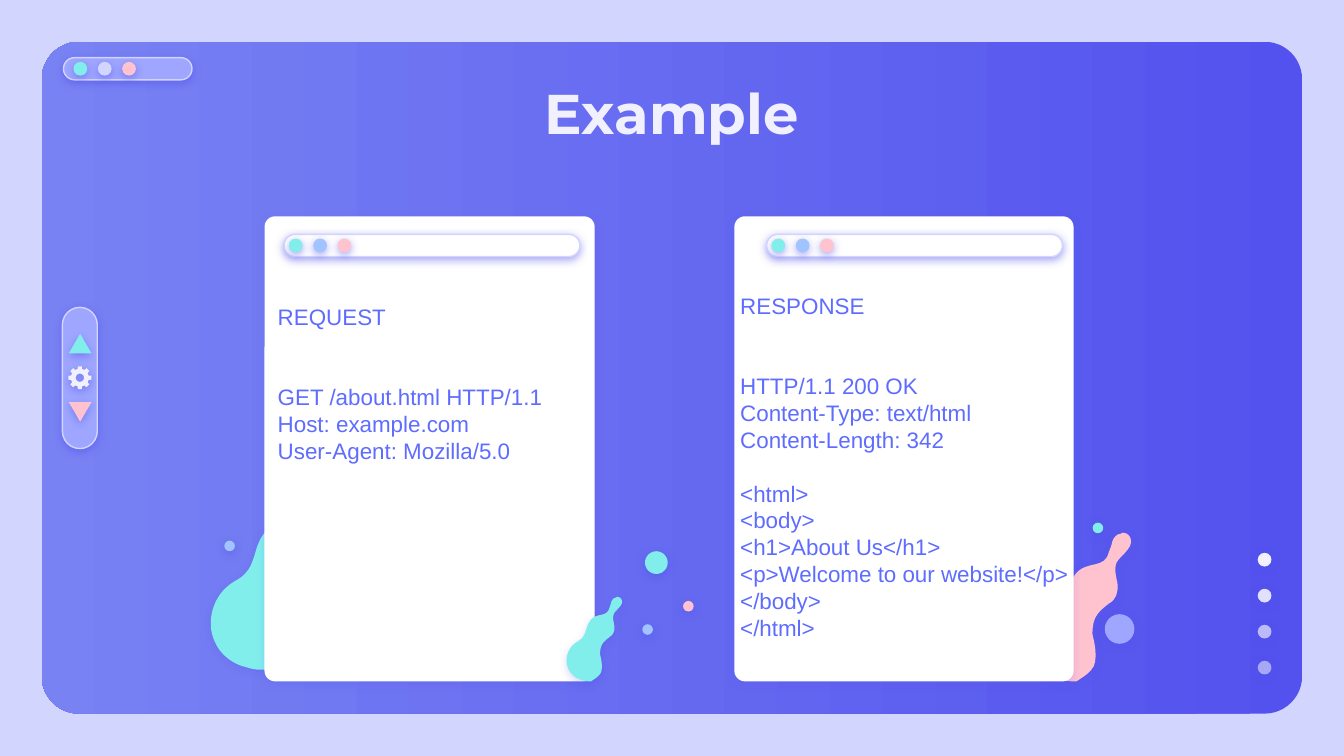
import math

from lxml import etree
from pptx import Presentation
from pptx.dml.color import RGBColor
from pptx.enum.shapes import MSO_SHAPE
from pptx.enum.text import MSO_ANCHOR, PP_ALIGN
from pptx.oxml.ns import qn
from pptx.util import Cm, Pt

ROUND, OVAL, TRIANGLE = (MSO_SHAPE.ROUNDED_RECTANGLE, MSO_SHAPE.OVAL,
                         MSO_SHAPE.ISOSCELES_TRIANGLE)
TOP, LEFT, CENTER = MSO_ANCHOR.TOP, PP_ALIGN.LEFT, PP_ALIGN.CENTER

INDIGO, VIOLET, LAVENDER, PALE = "5352EE", "7882F3", "9EA6FF", "D2D6FF"
TEAL, PINK, SKY, MIST, WHITE, INK = "81EEEB", "FFC3D0", "A1C3FF", "F1F0FF", "FFFFFF", "5E6CFF"

TITLE = "Example"
# Each message is a list of (space before in points, line)
REQUEST = [
    (0, "REQUEST"),
    (28.5, "GET /about.html HTTP/1.1"),
    (0, "Host: example.com"),
    (0, "User-Agent: Mozilla/5.0"),
]
RESPONSE = [
    (0, "RESPONSE"),
    (28.8, "HTTP/1.1 200 OK"),
    (0, "Content-Type: text/html"),
    (0, "Content-Length: 342"),
    (14, "<html>"),
    (0, "<body>"),
    (0, "<h1>About Us</h1>"),
    (0, "<p>Welcome to our website!</p>"),
    (0, "</body>"),
    (0, "</html>"),
]

# Lengths in cm
CARDS = [(5, 6.24), (13.88, 6.41)]  # left, width
CARD_TOP, CARD_HEIGHT, CARD_RADIUS = 4.09, 8.79, 0.2
MESSAGES = [(REQUEST, 5, 5.61, 7.47, 3.33), (RESPONSE, 13.74, 5.39, 8.23, 6.93)]
BAR_HEIGHT, DOT, DOT_STEP = 0.42, 0.26, 0.46
BUBBLES = [  # left, top, diameter, colour
    (4.24, 10.22, 0.2, SKY), (12.14, 11.8, 0.2, SKY), (12.19, 10.42, 0.43, TEAL),
    (12.91, 11.36, 0.2, PINK), (20.88, 11.61, 0.56, LAVENDER), (20.65, 9.88, 0.2, TEAL),
]

# Splash outline: start, then cubic curves (two controls and an end point)
SPLASH_HEIGHT, SPLASH_START = 141, (89, 0)
SPLASH_CURVES = [
    (91, 0, 93, 1, 94, 2), (103, 12, 87, 21, 83, 28), (80, 35, 83, 43, 84, 50),
    (84, 56, 83, 63, 76, 67), (72, 70, 68, 73, 65, 77), (61, 82, 60, 89, 60, 96),
    (61, 101, 63, 108, 63, 115), (63, 119, 63, 126, 59, 130),
    (55, 135, 49, 138, 45, 141), (44, 141, 42, 141, 41, 141),
    (37, 141, 33, 140, 30, 139), (21, 137, 11, 130, 7, 120),
    (0, 105, 6, 86, 19, 77), (23, 74, 27, 73, 30, 69), (36, 63, 37, 52, 40, 46),
    (49, 25, 67, 35, 74, 23), (76, 17, 78, 13, 79, 8), (80, 5, 83, 1, 87, 1),
    (88, 0, 89, 0, 89, 0),
]

prs = Presentation()
prs.slide_width, prs.slide_height = Cm(25.4), Cm(14.29)
layout = prs.slide_layouts[5]
slide = prs.slides.add_slide(layout)


def paint(fill, color, alpha=100):
    fill.solid()
    fill.fore_color.rgb = RGBColor.from_string(color)
    if alpha < 100:
        rgb = fill._xPr.find(".//" + qn("a:srgbClr"))
        etree.SubElement(rgb, qn("a:alpha"), val=str(alpha * 1000))


def finish(sp, color, alpha=100, line=None, shadow=50):
    """Set fill, outline and a soft drop shadow of the given opacity."""
    paint(sp.fill, color, alpha)
    if line:
        paint(sp.line.fill, line)
        sp.line.width = Pt(0.75)
    else:
        sp.line.fill.background()
    sp.shadow.inherit = False
    if shadow:
        effects = sp._element.spPr.find(qn("a:effectLst"))
        outer = etree.SubElement(effects, qn("a:outerShdw"), blurRad=str(Pt(4.5)),
                                 dist=str(Pt(1.5)), dir="5400000", algn="bl",
                                 rotWithShape="0")
        rgb = etree.SubElement(outer, qn("a:srgbClr"), val=INDIGO)
        etree.SubElement(rgb, qn("a:alpha"), val=str(shadow * 1000))
    return sp


def add_preset(kind, x, y, w, h, color, radius=None, **style):
    sp = slide.shapes.add_shape(kind, Cm(x), Cm(y), Cm(w), Cm(h))
    if radius is not None:
        sp.adjustments[0] = radius / min(w, h)
    return finish(sp, color, **style)


def add_outline(contours, color, shadow):
    scaled = [[(Cm(x), Cm(y)) for x, y in contour] for contour in contours]
    builder = slide.shapes.build_freeform(*scaled[0][0])
    for i, contour in enumerate(scaled):
        if i:
            builder.move_to(*contour[0])
        builder.add_line_segments(contour[1:], close=True)
    return finish(builder.convert_to_shape(), color, shadow=shadow)


def add_splash(x, y, height, color):
    """Lay out the control points as lines, then join every three into a curve."""
    scale = height / SPLASH_HEIGHT
    points = [SPLASH_START] + [c[i:i + 2] for c in SPLASH_CURVES for i in (0, 2, 4)]
    sp = add_outline([[(x + px * scale, y + py * scale) for px, py in points]], color, 22)
    lines = list(sp._element.iter(qn("a:lnTo")))
    for i in range(0, len(lines), 3):
        curve = etree.Element(qn("a:cubicBezTo"))
        lines[i].addprevious(curve)
        for line in lines[i:i + 3]:
            curve.append(line[0])
            line.getparent().remove(line)


def add_gear(cx, cy, tip, root, hole, color):
    def polar(r, degrees):
        a = math.radians(degrees)
        return cx + r * math.cos(a), cy + r * math.sin(a)

    teeth = [polar(r, 45 * i + turn) for i in range(8)
             for r, turn in ((root, -14), (tip, -10), (tip, 10), (root, 14))]
    add_outline([teeth, [polar(hole, -30 * i) for i in range(12)]], color, 52)


def add_window_bar(x, y, w, color, dot_inset, dot_colors):
    add_preset(ROUND, x, y, w, BAR_HEIGHT, color, radius=BAR_HEIGHT / 2, line=PALE)
    for i, dot_color in enumerate(dot_colors):
        add_preset(OVAL, x + dot_inset + i * DOT_STEP, y + (BAR_HEIGHT - DOT) / 2,
                   DOT, DOT, dot_color)


def write(p, text, size=12, font="Arial", color=INK, bold=False, align=LEFT,
          before=0, spacing=None):
    p.alignment, p.space_before = align, Pt(before)
    if spacing:
        p.line_spacing = Pt(spacing)
    r = p.add_run()
    r.text = text
    r.font.size, r.font.name, r.font.bold = Pt(size), font, bold
    r.font.color.rgb = RGBColor.from_string(color)


# Backdrop, kept on the layout
paint(slide.background.fill, PALE)
panel = add_preset(ROUND, 0.79, 0.79, 23.82, 12.7, INDIGO, radius=0.71, shadow=0)
panel.fill.gradient()
panel.fill.gradient_angle = 180
for stop, color in zip(panel.fill.gradient_stops, (INDIGO, VIOLET)):
    stop.color.rgb = RGBColor.from_string(color)
add_window_bar(1.2, 1.09, 2.43, LAVENDER, 0.19, (TEAL, PALE, PINK))
for i, alpha in enumerate((100, 90, 67, 54)):
    add_preset(OVAL, 23.77, 10.45 + i * 0.68, DOT, DOT, MIST, alpha=alpha)
for sp in list(slide.shapes):
    if not sp.is_placeholder:
        layout.shapes._spTree.append(sp._element)

# Cards with the splashes behind and in front of them
for (x, w), splash in zip(CARDS, [(3.88, 9.08, 3.58, TEAL), (19.45, 10.07, 2.81, PINK)]):
    add_splash(*splash)
    add_preset(ROUND, x, CARD_TOP, w, CARD_HEIGHT, WHITE, radius=CARD_RADIUS, shadow=18)
add_splash(10.66, 11.28, 1.6, TEAL)
for x, y, size, color in BUBBLES:
    add_preset(OVAL, x, y, size, size, color)
for x in (5.37, 14.49):
    add_window_bar(x, 4.43, 5.59, WHITE, 0.09, (TEAL, SKY, PINK))

# Side control
add_preset(ROUND, 1.18, 5.81, 0.66, 2.67, LAVENDER, radius=0.33, line=PALE)
add_preset(TRIANGLE, 1.3, 6.31, 0.43, 0.37, TEAL)
add_preset(TRIANGLE, 1.3, 7.6, 0.43, 0.37, PINK).rotation = 180
add_gear(1.51, 7.14, 0.22, 0.17, 0.08, MIST)

# Text
title = slide.shapes.title
slide.shapes._spTree.append(title._element)
title.left, title.top, title.width, title.height = Cm(1.99), Cm(1.24), Cm(21.41), Cm(1.6)
tf = title.text_frame
tf.margin_left = tf.margin_right = tf.margin_top = tf.margin_bottom = Cm(0.25)
tf.vertical_anchor = TOP
write(tf.paragraphs[0], TITLE, size=30, font="Montserrat", color=MIST, bold=True, align=CENTER)

for message, x, y, w, h in MESSAGES:
    tf = slide.shapes.add_textbox(Cm(x), Cm(y), Cm(w), Cm(h)).text_frame
    tf.word_wrap = True
    for i, (gap, line) in enumerate(message):
        p = tf.add_paragraph() if i else tf.paragraphs[0]
        write(p, line, before=gap, spacing=14.45)

prs.save("out.pptx")
